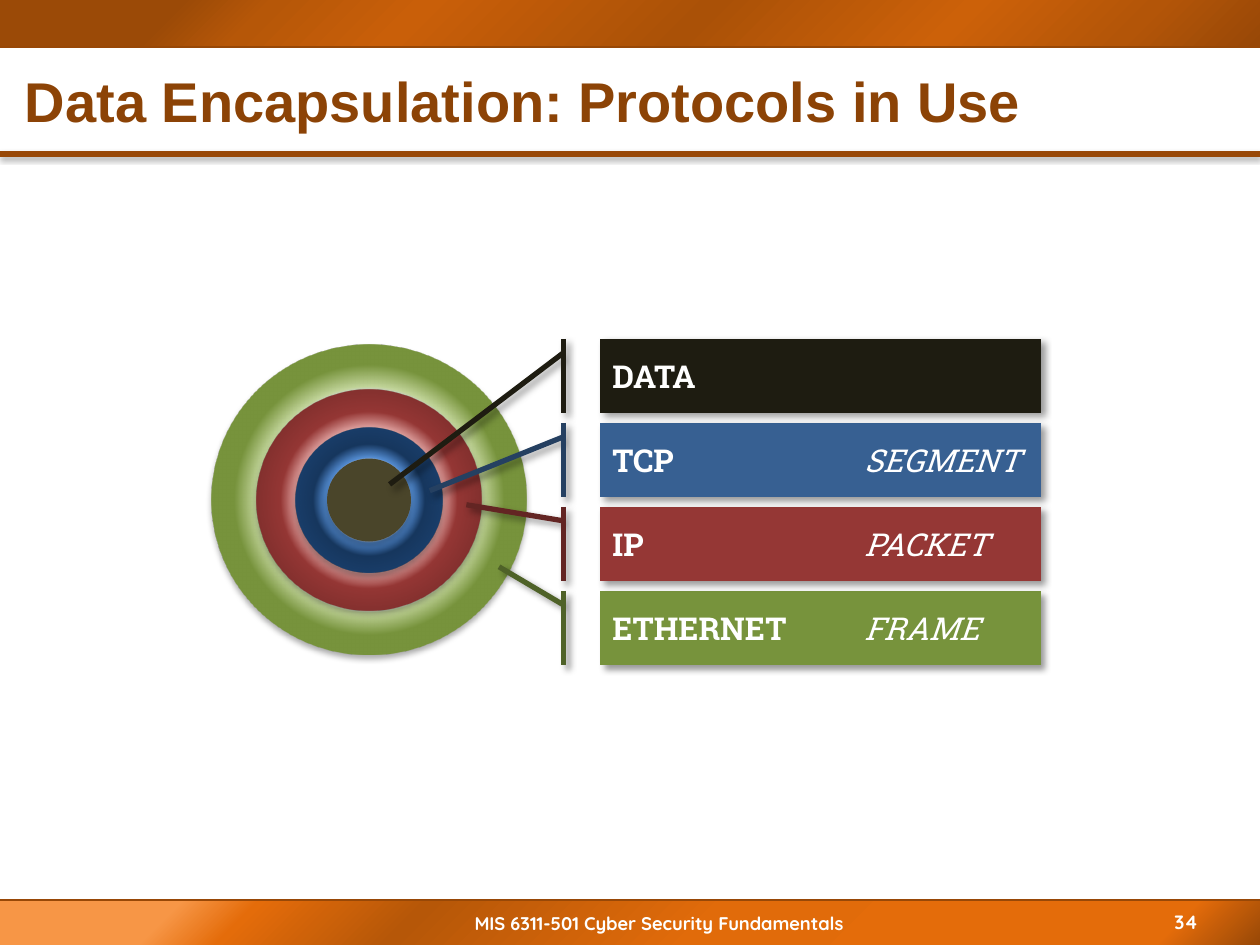
from lxml import etree
from pptx import Presentation
from pptx import util as u
from pptx.dml.color import RGBColor
from pptx.enum import shapes, text
from pptx.oxml import parse_xml
from pptx.oxml.ns import nsdecls, qn

PX = 914400 / 126
WHITE = RGBColor(0xFF, 0xFF, 0xFF)
BROWN = RGBColor(0x98, 0x48, 0x07)
TITLE_BROWN = RGBColor(0x8C, 0x43, 0x06)
OLIVE = RGBColor(0x4A, 0x45, 0x2A)
BLACK = RGBColor(0x1E, 0x1C, 0x11)
BLUE = RGBColor(0x37, 0x60, 0x92)
DARK_BLUE = RGBColor(0x25, 0x40, 0x61)
RED = RGBColor(0x95, 0x37, 0x35)
DARK_RED = RGBColor(0x63, 0x25, 0x23)
GREEN = RGBColor(0x77, 0x93, 0x3C)
DARK_GREEN = RGBColor(0x4F, 0x62, 0x28)

HEADER_STOPS = [(14, "9B4A07"), (21, "B65708"), (33, "C95F09"), (55, "AA5107"),
                (75, "CC6109"), (89, "B35508"), (100, "984807")]
FOOTER_STOPS = [(14, "F79646"), (20, "E46C0A"), (33, "B65708"), (56, "E16B0A"),
                (78, "E46C0A"), (92, "E46C0A"), (100, "984807")]
LINEAR = '<a:lin ang="2700000" scaled="0"/>'
RADIAL = ('<a:path path="circle"><a:fillToRect l="50000" t="50000" '
          'r="50000" b="50000"/></a:path>')

RULE_SHADOW = (38, 3.1, 1.6, 90)
RING_SHADOW = (32, 3.5, 2.2, 90)
CALLOUT_SHADOW = (40, 4, 3, 45)

CENTER_X, CENTER_Y = 369, 500
FIRST_ROW, ROW_STEP = 339, 84

LAYERS = [
    (3, "ETHERNET", "FRAME", GREEN, DARK_GREEN, (-0.327, -0.229), (315, 310),
     [(51, "C3D69B"), (61, "77933C"), (100, "77933C")], 48),
    (2, "IP", "PACKET", RED, DARK_RED, (-0.03, -0.303), (224, 220),
     [(47, "D99694"), (56, "953735"), (100, "632523")], 40),
    (1, "TCP", "SEGMENT", BLUE, DARK_BLUE, (0.915, -0.386), (147, 145),
     [(41, "558ED5"), (54, "17375E"), (100, "1F497D")], 36),
    (0, "DATA", None, BLACK, BLACK, (1.965, -0.477), (84, 83), None, 0),
]


def px(*lengths):
    return [u.Emu(round(length * PX)) for length in lengths]


def set_shadow(element, shadow=None):
    props = element.spPr
    effects = props.find(qn("a:effectLst"))
    if effects is None:
        effects = etree.SubElement(props, qn("a:effectLst"))
    if shadow:
        opacity, blur, distance, angle = shadow
        effects.append(parse_xml(
            f'<a:outerShdw {nsdecls("a")} blurRad="{u.Pt(blur)}" dist="{u.Pt(distance)}" '
            f'dir="{angle * 60000}" algn="ctr" rotWithShape="0"><a:srgbClr val="000000">'
            f'<a:alpha val="{opacity * 1000}"/></a:srgbClr></a:outerShdw>'))


def set_gradient(shape, stops, direction, clear_until=0):
    clear = [(0, "FFFFFF"), (clear_until, "FFFFFF")] if clear_until else []
    marks = "".join(
        f'<a:gs pos="{pos * 1000}"><a:srgbClr val="{color}">'
        + ('<a:alpha val="0"/>' if pos <= clear_until else "")
        + "</a:srgbClr></a:gs>" for pos, color in clear + stops)
    solid = shape._element.spPr.find(qn("a:solidFill"))
    solid.getparent().replace(solid, parse_xml(
        f'<a:gradFill {nsdecls("a")} rotWithShape="1"><a:gsLst>{marks}</a:gsLst>'
        f'{direction}</a:gradFill>'))


def add_filled(slide, kind, box, color, shadow=None):
    shape = slide.shapes.add_shape(kind, *px(*box))
    shape.fill.solid()
    shape.fill.fore_color.rgb = color
    shape.line.fill.background()
    shape.shadow.inherit = False
    set_shadow(shape._element, shadow)
    return shape


def add_band(slide, top, height, stops):
    band = add_filled(slide, shapes.MSO_SHAPE.RECTANGLE, (0, top, 1260, height), BROWN)
    set_gradient(band, stops, LINEAR)


def add_rule(slide, y, width, shadow=None):
    rule = slide.shapes.add_connector(shapes.MSO_CONNECTOR.STRAIGHT, *px(0, y, 1260, y))
    rule.line.color.rgb = BROWN
    rule.line.width = u.Pt(width)
    set_shadow(rule._element, shadow)


def style_font(font, name, size, color):
    font.name = name
    font.size = u.Pt(size)
    font.color.rgb = color


def add_label(slide, box, words, name, size, color, align, inset=13):
    frame = slide.shapes.add_textbox(*px(*box)).text_frame
    frame.word_wrap = True
    frame.vertical_anchor = text.MSO_ANCHOR.MIDDLE
    frame.margin_left = px(inset)[0]
    paragraph = frame.paragraphs[0]
    paragraph.text = words
    paragraph.alignment = align
    style_font(paragraph.font, name, size, color)
    paragraph.font.bold = True


def add_ring(slide, size, stops, clear_until):
    width, height = size
    box = (CENTER_X - width / 2, CENTER_Y - height / 2, width, height)
    ring = add_filled(slide, shapes.MSO_SHAPE.OVAL, box, OLIVE, RING_SHADOW)
    if stops:
        set_gradient(ring, stops, RADIAL, clear_until)


def add_callout(slide, row, protocol, unit, color, edge, target):
    box = (600, FIRST_ROW + row * ROW_STEP, 441, 74)
    callout = add_filled(slide, shapes.MSO_SHAPE.LINE_CALLOUT_1_ACCENT_BAR, box,
                         color, CALLOUT_SHADOW)
    for index, value in enumerate((0.188, -0.083, *target)):
        callout.adjustments[index] = value
    callout.line.color.rgb = edge
    callout.line.width = u.Pt(3)
    callout.text_frame.vertical_anchor = text.MSO_ANCHOR.MIDDLE
    paragraph = callout.text_frame.paragraphs[0]
    paragraph.alignment = text.PP_ALIGN.LEFT
    tabs = etree.SubElement(paragraph._p.get_or_add_pPr(), qn("a:tabLst"))
    etree.SubElement(tabs, qn("a:tab"), pos=str(px(252)[0]), algn="l")
    style_font(paragraph.font, "Roboto Slab", 18, WHITE)
    name_run = paragraph.add_run()
    name_run.text = protocol
    name_run.font.bold = True
    if unit:
        name_run.text += "\t"
        unit_run = paragraph.add_run()
        unit_run.text = unit
        unit_run.font.italic = True


def main():
    deck = Presentation()
    deck.slide_width, deck.slide_height = px(1260, 945)
    slide = deck.slides.add_slide(deck.slide_layouts[6])
    center, left = text.PP_ALIGN.CENTER, text.PP_ALIGN.LEFT

    add_band(slide, 900, 45, FOOTER_STOPS)
    add_rule(slide, 154, 3, RULE_SHADOW)
    add_label(slide, (204, 905, 910, 36), "MIS 6311-501 Cyber Security Fundamentals",
              "Quicksand", 10.5, WHITE, center)
    add_band(slide, 0, 46, HEADER_STOPS)
    add_rule(slide, 900, 1.5)
    add_rule(slide, 47, 1.5)

    for row, protocol, unit, color, edge, target, size, stops, clear_until in LAYERS:
        add_ring(slide, size, stops, clear_until)
        add_callout(slide, row, protocol, unit, color, edge, target)

    add_label(slide, (1134, 904, 104, 36), "34", "Quicksand", 11, WHITE, center)
    add_label(slide, (0, 53, 1260, 95), "Data Encapsulation: Protocols in Use",
              "Arial", 32, TITLE_BROWN, left, inset=25)
    deck.save("out.pptx")


if __name__ == "__main__":
    main()
